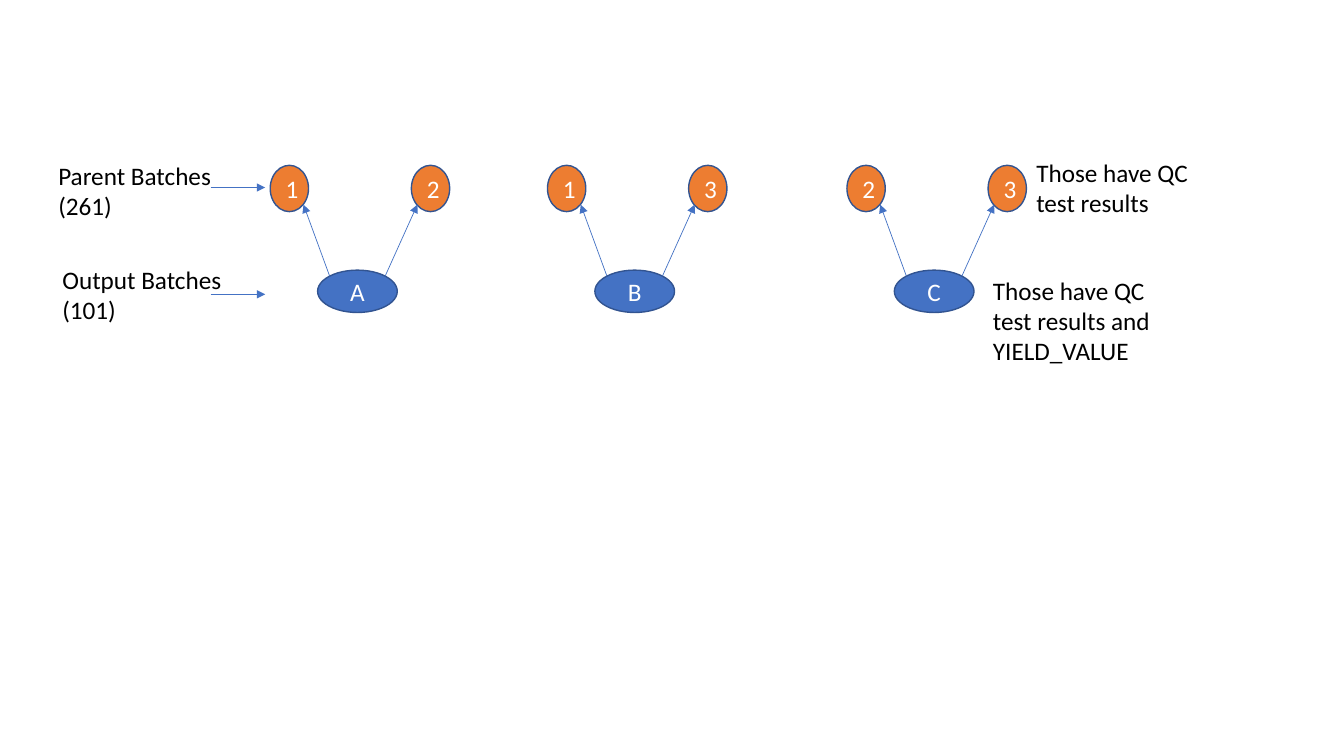
import dataclasses

import lxml.etree
import pptx
import pptx.dml.color
import pptx.enum.shapes
import pptx.enum.text
import pptx.oxml.ns
import pptx.util

Inches = pptx.util.Inches
Pt = pptx.util.Pt
qn = pptx.oxml.ns.qn
rgb = pptx.dml.color.RGBColor.from_string


@dataclasses.dataclass(frozen=True)
class Theme:
    output: str = "4472C4"
    parent: str = "ED7D31"
    outline: str = "325491"
    arrow: str = "4472C4"
    label: str = "000000"
    node_text: str = "FFFFFF"
    font: str = "Calibri"
    size: float = 18
    outline_width: float = 1
    arrow_width: float = 0.5


THEME = Theme()

FAMILIES = [
    (2.68, "A", "1", "2"),
    (5.45 - 0.02, "B", "1", "3"),
    (8.4, "C", "2", "3"),
]

LABELS = [
    (0.48, 1.54, 1.83, 0.71, ["Parent Batches", "(261)"]),
    (0.52, 2.57, 1.82, 0.71, ["Output Batches", "(101)"]),
    (9.75, 2.68, 1.83, 1.01, ["Those have QC test results and YIELD_VALUE"]),
    (10.18, 1.51, 1.83, 0.71, ["Those have QC test results"]),
]


def style_text(paragraph, color):
    font_format = {"name": THEME.font, "size": Pt(THEME.size)}
    for key, value in font_format.items():
        setattr(paragraph.font, key, value)
    paragraph.font.color.rgb = rgb(color)


def add_batch(slide, left, top, width, height, name, fill):
    batch = slide.shapes.add_shape(
        pptx.enum.shapes.MSO_SHAPE.OVAL,
        Inches(left), Inches(top), Inches(width), Inches(height),
    )
    batch.shadow.inherit = False
    batch.fill.solid()
    batch.fill.fore_color.rgb = rgb(fill)
    batch.line.color.rgb = rgb(THEME.outline)
    batch.line.width = Pt(THEME.outline_width)
    batch.text_frame.text = name
    batch.text_frame.vertical_anchor = pptx.enum.text.MSO_ANCHOR.MIDDLE
    caption = batch.text_frame.paragraphs[0]
    caption.alignment = pptx.enum.text.PP_ALIGN.CENTER
    style_text(caption, THEME.node_text)


def add_arrow(slide, start_x, start_y, end_x, end_y):
    arrow = slide.shapes.add_connector(
        pptx.enum.shapes.MSO_CONNECTOR.STRAIGHT,
        Inches(start_x), Inches(start_y), Inches(end_x), Inches(end_y),
    )
    arrow.line.color.rgb = rgb(THEME.arrow)
    arrow.line.width = Pt(THEME.arrow_width)
    properties = arrow.element.spPr
    stroke = properties.find(qn("a:ln"))
    lxml.etree.SubElement(stroke, qn("a:tailEnd"), type="triangle")
    lxml.etree.SubElement(properties, qn("a:effectLst"))


def add_label(slide, left, top, width, height, lines):
    label = slide.shapes.add_textbox(
        Inches(left), Inches(top), Inches(width), Inches(height)
    )
    frame_format = {
        "word_wrap": True,
        "auto_size": pptx.enum.text.MSO_AUTO_SIZE.SHAPE_TO_FIT_TEXT,
        "text": "\n".join(lines),
    }
    for key, value in frame_format.items():
        setattr(label.text_frame, key, value)
    for paragraph in label.text_frame.paragraphs:
        style_text(paragraph, THEME.label)


def add_family(slide, left, output, first_parent, second_parent):
    add_batch(slide, left + 0.47, 2.68, 0.79, 0.42, output, THEME.output)
    for offset, parent in ((0, first_parent), (1.4, second_parent)):
        add_batch(slide, left + offset, 1.64, 0.38, 0.46, parent, THEME.parent)
    for start, end in ((1.14, 1.46), (0.59, 0.33)):
        add_arrow(slide, left + start, 2.74, left + end, 2.03)


def main():
    presentation = pptx.Presentation()
    presentation.slide_width = Inches(13.33)
    presentation.slide_height = Inches(7.5)
    slide = presentation.slides.add_slide(presentation.slide_layouts[6])
    for family in FAMILIES:
        add_family(slide, *family)
    for label in LABELS:
        add_label(slide, *label)
    for row in (1.86, 2.92):
        add_arrow(slide, 2.09, row, 2.63, row)
    presentation.save("out.pptx")


if __name__ == "__main__":
    main()
